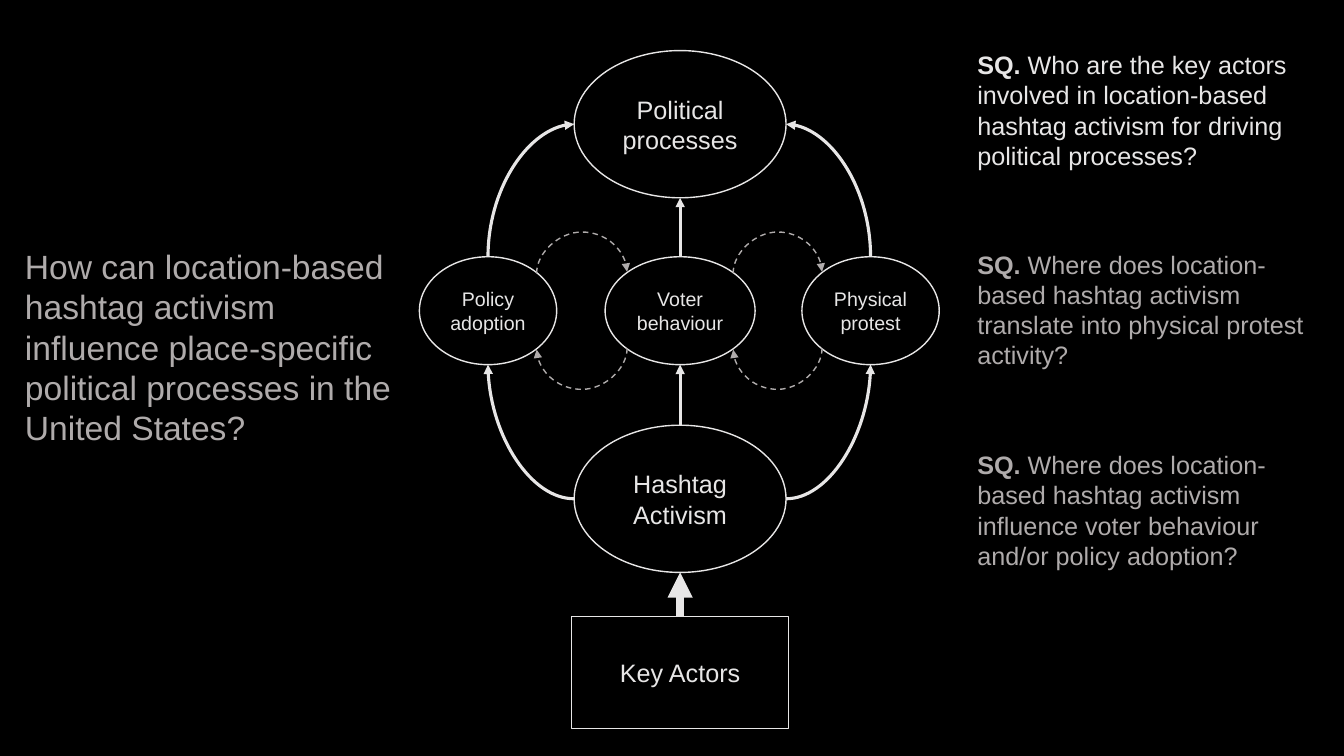
from lxml import etree
from pptx import Presentation
from pptx import util as u
from pptx.dml.color import RGBColor
from pptx.enum import dml, shapes, text
from pptx.oxml.ns import qn

LIGHT, GREY, BLACK = "E7E6E6", "AFABAB", "000000"
AXIS, LEFT, RIGHT = 17.14, 12.3, 21.94
MIDDLE = 7.83

NODES = {
    "Key Actors": ("RECTANGLE", AXIS, 16.95, 5.46, 2.82, 18),
    "Physical protest": ("OVAL", RIGHT, MIDDLE, 3.46, 2.72, 14),
    "Policy adoption": ("OVAL", LEFT, MIDDLE, 3.46, 2.72, 14),
    "Voter behaviour": ("OVAL", AXIS, MIDDLE, 3.78, 2.72, 14),
    "Political processes": ("OVAL", AXIS, 3.13, 5.34, 3.71, 18),
    "Hashtag Activism": ("OVAL", AXIS, 12.57, 5.34, 3.71, 18),
}
STRAIGHT = [
    ("Hashtag Activism", "Voter behaviour", 2.25),
    ("Key Actors", "Hashtag Activism", 6),
    ("Voter behaviour", "Political processes", 2.25),
]
BENDS = [
    ("Hashtag Activism", "left", "Policy adoption", "bottom", "tailEnd"),
    ("Hashtag Activism", "right", "Physical protest", "bottom", "tailEnd"),
    ("Political processes", "right", "Physical protest", "top", "headEnd"),
    ("Political processes", "left", "Policy adoption", "top", "headEnd"),
]
LOOPS = [("Voter behaviour", "Physical protest"), ("Policy adoption", "Voter behaviour")]
TEXTS = [
    (24.38, 1.12, 9.2, 3.33, 18, LIGHT, "SQ. ",
     "Who are the key actors involved in location-based hashtag activism for driving political processes?"),
    (0.38, 6.07, 9.75, 5.38, 24, GREY, "",
     "How can location-based hashtag activism influence place-specific political processes in the United States?"),
    (24.38, 6.15, 9.2, 3.33, 18, GREY, "SQ. ",
     "Where does location-based hashtag activism translate into physical protest activity?"),
    (24.38, 11.2, 9.2, 3.33, 18, GREY, "SQ. ",
     "Where does location-based hashtag activism influence voter behaviour and/or policy adoption?"),
]
D = 0.5 ** 0.5
SITES = {
    "top": (0, 0, -1), "top left": (1, -D, -D), "left": (2, -1, 0), "bottom left": (3, -D, D),
    "bottom": (4, 0, 1), "bottom right": (5, D, D), "right": (6, 1, 0), "top right": (7, D, -D),
}
LOOP_DEPTH, LOOP_RISE = 0.04, 26
NODE_MARGIN = 0.15


def rgb(value):
    return RGBColor.from_string(value)


def write(p, content, size=18, color=LIGHT, bold=False):
    r = p.add_run()
    r.text = content
    r.font.name = "Arial"
    r.font.size = u.Pt(size)
    r.font.bold = bold
    r.font.color.rgb = rgb(color)


def site(name, side):
    _, cx, cy, w, h, _ = NODES[name]
    _, dx, dy = SITES[side]
    return cx + dx * w / 2, cy + dy * h / 2


def connect(start, start_side, end, end_side, kind="line", width=2.25, color=LIGHT, arrow="tailEnd"):
    x1, y1 = site(start, start_side)
    x2, y2 = site(end, end_side)
    loop = kind == "curvedConnector3"
    if loop:
        mx, half = (x1 + x2) / 2, (x2 - x1) / 2
        dx = LOOP_DEPTH / 2 if half > 0 else -LOOP_DEPTH / 2
        x1, y1, x2, y2 = mx + dx, y1 + half, mx - dx, y1 - half
    c = s.shapes.add_connector(shapes.MSO_CONNECTOR.STRAIGHT, u.Cm(x1), u.Cm(y1), u.Cm(x2), u.Cm(y2))
    c.line.width = u.Pt(width)
    c.line.color.rgb = rgb(color)
    props = c.element.spPr
    geom = props.find(qn("a:prstGeom"))
    geom.set("prst", kind)
    if loop:
        c.line.dash_style = dml.MSO_LINE.DASH
        props.find(qn("a:xfrm")).set("rot", "5400000")
        etree.SubElement(geom.find(qn("a:avLst")), qn("a:gd"), name="adj1", fmla=f"val {LOOP_RISE * 100000}")
    etree.SubElement(props.find(qn("a:ln")), qn("a:" + arrow), type="triangle")
    etree.SubElement(props, qn("a:effectLst"))
    glue = next(c.element.iter(qn("p:cNvCxnSpPr")))
    for tag, name, side in (("a:stCxn", start, start_side), ("a:endCxn", end, end_side)):
        etree.SubElement(glue, qn(tag), id=str(drawn[name].shape_id), idx=str(SITES[side][0]))


prs = Presentation()
prs.slide_width, prs.slide_height = u.Cm(33.87), u.Cm(19.05)
s = prs.slides.add_slide(prs.slide_layouts[6])
s.background.fill.solid()
s.background.fill.fore_color.rgb = rgb(BLACK)

drawn = {}
for label, (kind, cx, cy, w, h, size) in NODES.items():
    sp = s.shapes.add_shape(getattr(shapes.MSO_SHAPE, kind),
                            u.Cm(cx - w / 2), u.Cm(cy - h / 2), u.Cm(w), u.Cm(h))
    sp.shadow.inherit = False
    sp.fill.background()
    sp.line.color.rgb = rgb(LIGHT)
    sp.line.width = u.Pt(1)
    tf = sp.text_frame
    tf.word_wrap = True
    tf.margin_left = tf.margin_right = u.Cm(NODE_MARGIN)
    tf.vertical_anchor = text.MSO_ANCHOR.MIDDLE
    p = tf.paragraphs[0]
    p.alignment = text.PP_ALIGN.CENTER
    write(p, label, size=size)
    drawn[label] = sp

for lower, upper, width in STRAIGHT:
    connect(lower, "top", upper, "bottom", width=width)
for start, start_side, end, end_side, arrow in BENDS:
    connect(start, start_side, end, end_side, kind="curvedConnector2", arrow=arrow)
for west, east in LOOPS:
    connect(west, "top right", east, "top left", kind="curvedConnector3", width=1, color=GREY)
    connect(east, "bottom left", west, "bottom right", kind="curvedConnector3", width=1, color=GREY)

for x, y, w, h, size, color, lead, question in TEXTS:
    tf = s.shapes.add_textbox(u.Cm(x), u.Cm(y), u.Cm(w), u.Cm(h)).text_frame
    tf.word_wrap = True
    tf.auto_size = text.MSO_AUTO_SIZE.SHAPE_TO_FIT_TEXT
    p = tf.paragraphs[0]
    if lead:
        write(p, lead, size=size, color=color, bold=True)
    write(p, question, size=size, color=color)

prs.save("out.pptx")
